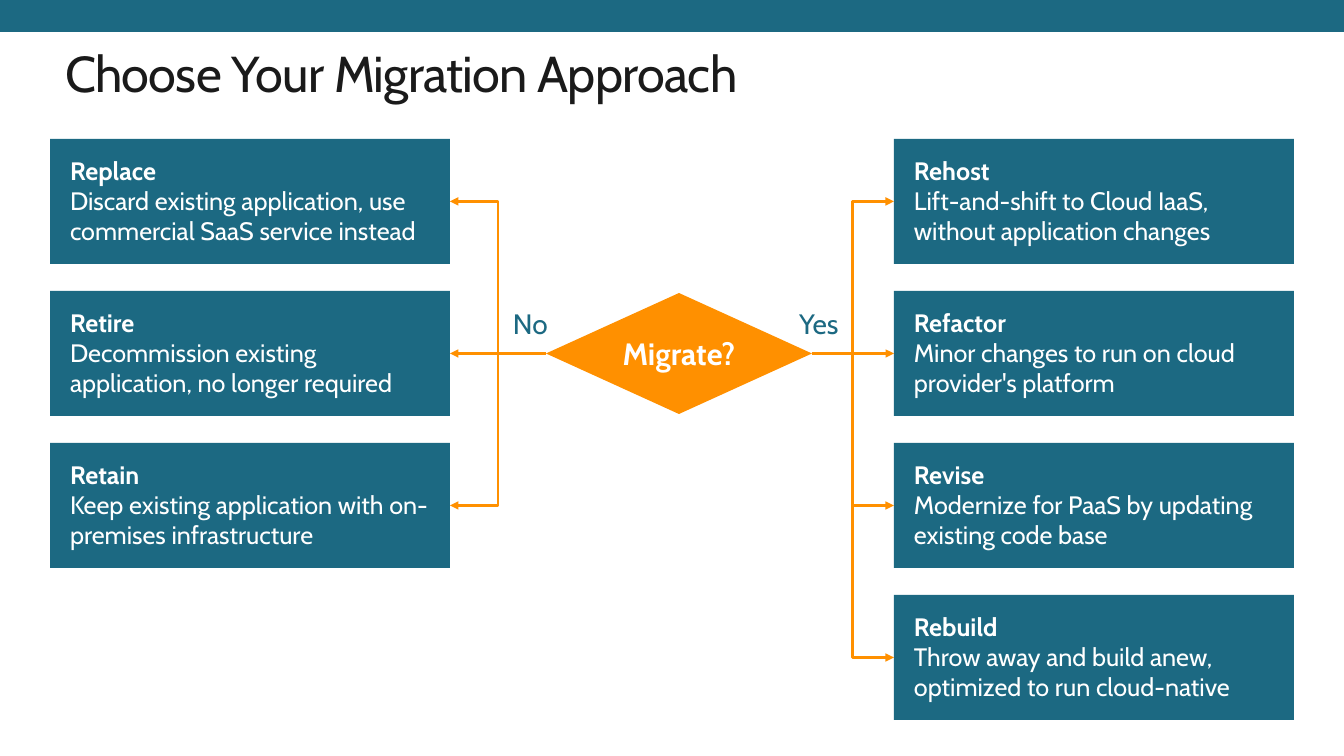
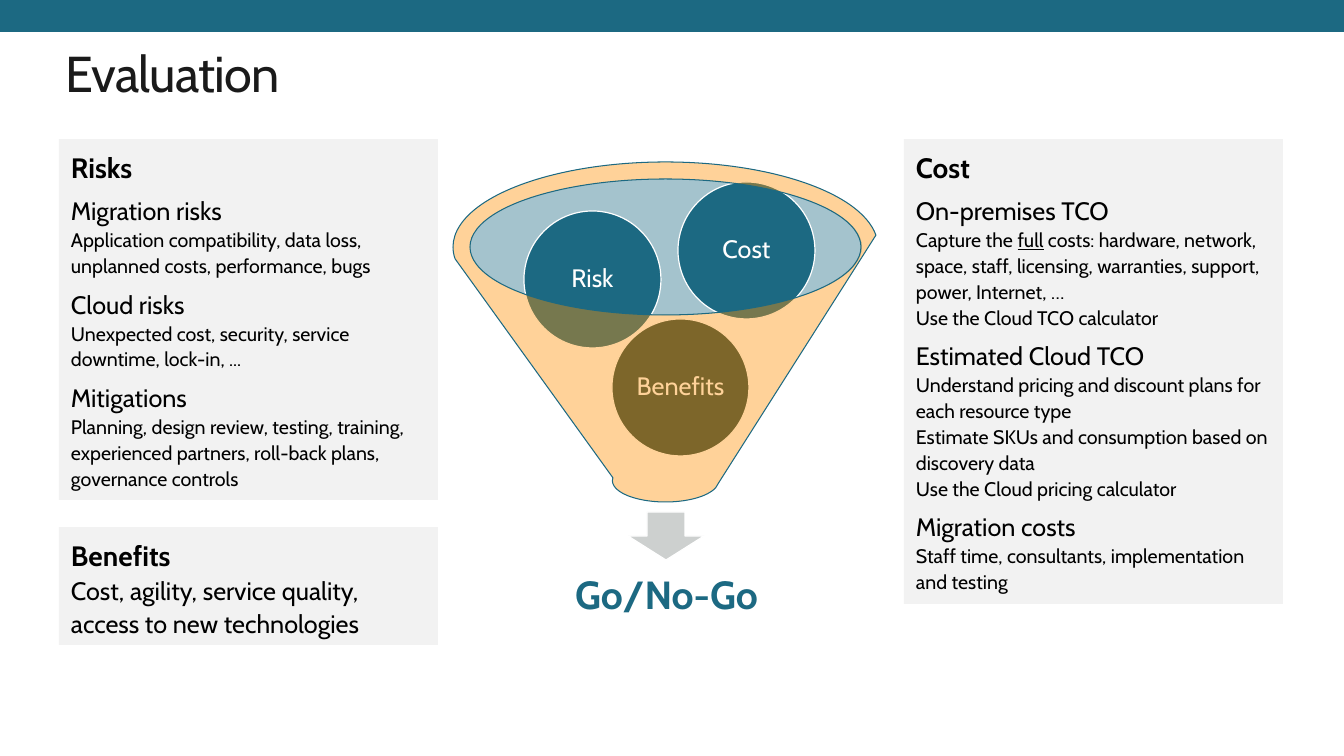
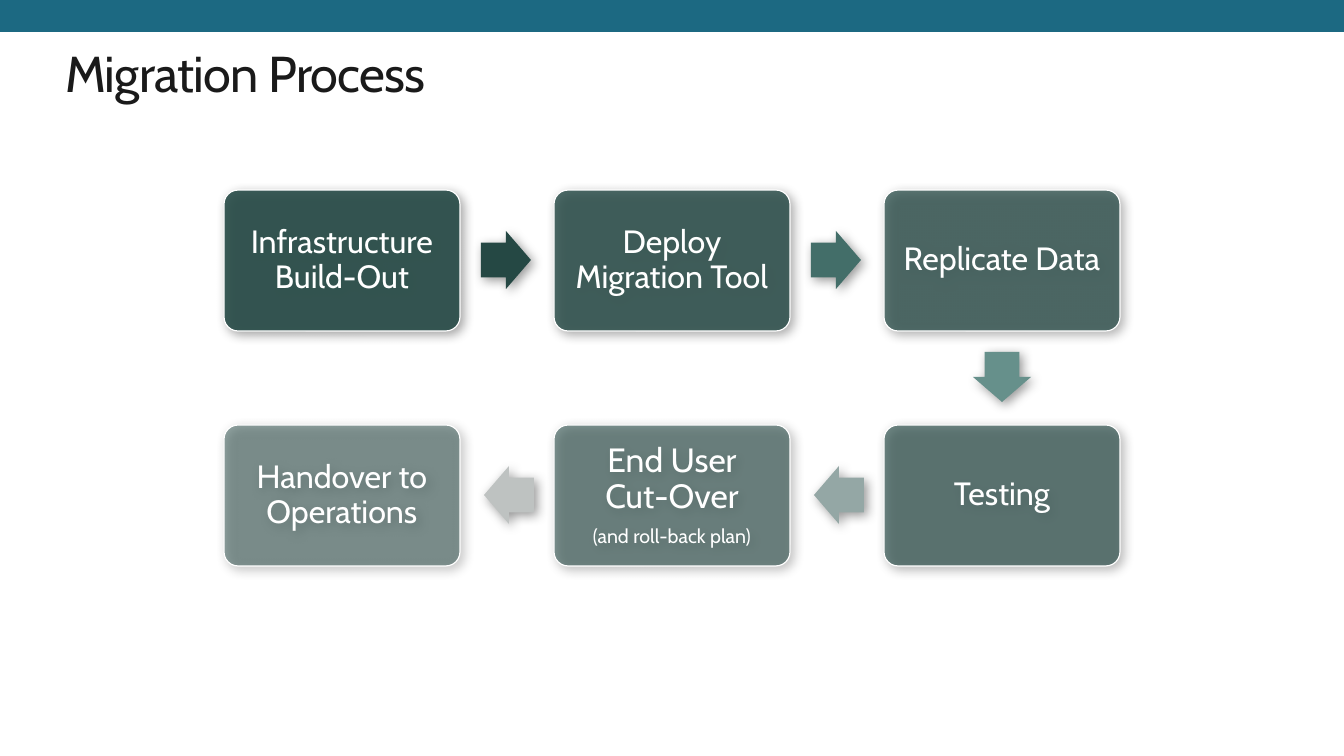
from lxml import etree
from pptx import Presentation
from pptx import util as u
from pptx.dml.color import RGBColor
from pptx.enum import shapes, text
from pptx.oxml import ns

SCALE = 12192000 / 1344
COLOURS = {
    "teal": "1C6982", "orange": "FF9000", "ink": "1A1A1A", "black": "000000",
    "white": "FFFFFF", "card": "F2F2F2", "silver": "CDD0CF", "pine": "274B47",
}
PRESET = shapes.MSO_SHAPE
TOP, MIDDLE = text.MSO_ANCHOR.TOP, text.MSO_ANCHOR.MIDDLE
LEFT, CENTER = text.PP_ALIGN.LEFT, text.PP_ALIGN.CENTER
GROW = text.MSO_AUTO_SIZE.SHAPE_TO_FIT_TEXT
CARD_STYLES = {
    "head": ({}, {"size": u.Pt(20), "bold": True}),
    "topic": ({"space_before": u.Pt(6)}, {"size": u.Pt(18)}),
    "lead": ({}, {"size": u.Pt(18)}),
    "detail": ({}, {"size": u.Pt(14)}),
}


def px(length):
    """Turn pixels into EMU."""
    return u.Emu(round(length * SCALE))


def rgb(name):
    """Look up a named colour, or read a hex string."""
    return RGBColor.from_string(COLOURS.get(name, name))


def assign(target, values):
    """Set every attribute given in a dict."""
    for name, value in values.items():
        setattr(target, name, value)


class Deck:
    """Hold the presentation style and the slide being built."""

    def __init__(self):
        """Open an empty wide presentation."""
        self.deck = Presentation()
        assign(self.deck, {"slide_width": px(1344), "slide_height": px(756)})
        self.slide = None

    def start(self, title, width=1056):
        """Add a slide with the top band and its title."""
        self.slide = self.deck.slides.add_slide(self.deck.slide_layouts[5])
        self.shape(PRESET.RECTANGLE, (0, 0, 1344, 32), "teal")
        heading = self.slide.shapes.title
        assign(heading, dict(zip(("left", "top", "width", "height"),
                                 map(px, (65, 42, width, 61)))))
        self.put_text(heading, [({}, [(title, {"size": u.Pt(36)})])], "ink", auto_size=GROW)
        for run in heading.text_frame.paragraphs[0].runs:
            run._r.get_or_add_rPr().set("spc", "-50")

    def shape(self, preset, box, fill, line=None, alpha=None, shadow=False):
        """Add a preset shape; line is a colour and a width in points."""
        item = self.slide.shapes.add_shape(preset, *map(px, box))
        item.shadow.inherit = False
        item.fill.solid()
        item.fill.fore_color.rgb = rgb(fill)
        if line:
            item.line.color.rgb, item.line.width = rgb(line[0]), u.Pt(line[1])
        else:
            item.line.fill.background()
        properties = item._element.spPr
        if alpha:
            colour = properties.find(ns.qn("a:solidFill"))[0]
            etree.SubElement(colour, ns.qn("a:alpha"), val=str(alpha * 1000))
        if shadow:
            effects = properties.find(ns.qn("a:effectLst"))
            outer = etree.SubElement(effects, ns.qn("a:outerShdw"), blurRad="101600",
                                     dist="38100", dir="2700000", algn="tl", rotWithShape="0")
            black = etree.SubElement(outer, ns.qn("a:srgbClr"), val=COLOURS["black"])
            etree.SubElement(black, ns.qn("a:alpha"), val="40000")
        return item

    def put_text(self, item, paragraphs, colour, inset=(0, 0), align=LEFT, spacing=1.0,
                 anchor=TOP, wrap=True, auto_size=text.MSO_AUTO_SIZE.NONE):
        """Fill a shape with paragraphs of (format, [(text, font values)])."""
        frame = item.text_frame
        across, down = map(px, inset)
        assign(frame, {"margin_left": across, "margin_right": across, "margin_top": down,
                       "margin_bottom": down, "vertical_anchor": anchor, "word_wrap": wrap,
                       "auto_size": auto_size})
        for index, (layout, runs) in enumerate(paragraphs):
            paragraph = frame.add_paragraph() if index else frame.paragraphs[0]
            assign(paragraph, {"alignment": align, "line_spacing": spacing, **layout})
            for words, font in runs:
                for number, part in enumerate(words.split("\n")):
                    if number:
                        paragraph.add_line_break()
                    if part:
                        run = paragraph.add_run()
                        run.text = part
                        assign(run.font, {"name": "Cabin", "bold": False, **font})
                        run.font.color.rgb = rgb(colour)

    def label(self, words, box, size, bold=False, **options):
        """Add a text box with one line of teal text."""
        item = self.slide.shapes.add_textbox(*map(px, box))
        self.put_text(item, [({}, [(words, {"size": u.Pt(size), "bold": bold})])], "teal",
                      **options)

    def option(self, name, meaning, left, top):
        """Add a teal box with a bold name above its meaning."""
        item = self.shape(PRESET.RECTANGLE, (left, top, 400, 125), "teal")
        size = {"size": u.Pt(18)}
        self.put_text(item, [({}, [(name + "\n", {**size, "bold": True}), (meaning, size)])],
                      "white", inset=(20, 16))
        return item

    def arrow(self, start, start_side, end, end_side, kind):
        """Join two shapes with an orange arrow."""
        line = self.slide.shapes.add_connector(kind, 0, 0, 0, 0)
        line.begin_connect(start, start_side)
        line.end_connect(end, end_side)
        line.line.color.rgb, line.line.width = rgb("orange"), u.Pt(2)
        etree.SubElement(line.line._get_or_add_ln(), ns.qn("a:tailEnd"), type="triangle")
        etree.SubElement(line._element.spPr, ns.qn("a:effectLst"))

    def card(self, box, rows):
        """Add a grey card; every second run in a row is underlined."""
        paragraphs = []
        for style, *parts in rows:
            layout, font = CARD_STYLES[style]
            paragraphs.append((layout, [(part, {**font, "underline": index % 2 == 1})
                                        for index, part in enumerate(parts)]))
        self.put_text(self.shape(PRESET.RECTANGLE, box, "card"), paragraphs, "black",
                      inset=(12, 8), spacing=1.1, auto_size=GROW)

    def factor(self, name, left, top, fill):
        """Add a labelled circle."""
        item = self.shape(PRESET.OVAL, (left, top, 137, 137), fill, ("white", 0.85))
        self.put_text(item, [({}, [(name, {"size": u.Pt(18)})])], "white", inset=(3, 3),
                      align=CENTER, spacing=0.9, anchor=MIDDLE)

    def step(self, lines, left, top, alpha):
        """Add a rounded process step with lines of (text, size)."""
        item = self.shape(PRESET.ROUNDED_RECTANGLE, (left, top, 236, 141), "pine",
                          ("white", 0.85), alpha, True)
        item.adjustments[0] = 0.1
        paragraphs = [({"space_after": u.Pt(8 if index < len(lines) - 1 else 0)},
                       [(words, {"size": u.Pt(size)})])
                      for index, (words, size) in enumerate(lines)]
        self.put_text(item, paragraphs, "white", inset=(10, 10), align=CENTER, spacing=0.9,
                      anchor=MIDDLE)

    def block_arrow(self, left, top, fill, rotation):
        """Add a block arrow between two steps."""
        item = self.shape(PRESET.RIGHT_ARROW, (left, top, 50, 58), fill, shadow=True)
        item.adjustments[0] = 0.6
        item.rotation = rotation


def approach(deck):
    """Build the decision tree."""
    deck.start("Choose Your Migration Approach")
    migrate = deck.shape(PRESET.FLOWCHART_DECISION, (546, 293, 266, 121), "orange")
    deck.put_text(migrate, [({}, [("Migrate?", {"size": u.Pt(22), "bold": True})])], "white",
                  align=CENTER, anchor=MIDDLE)
    answers = [
        ("Yes", (799, 306, 41, 34), 894, 3, 1, [
            ("Rehost", "Lift-and-shift to Cloud IaaS, without application changes"),
            ("Refactor", "Minor changes to run on cloud provider's platform"),
            ("Revise", "Modernize for PaaS by updating existing code base"),
            ("Rebuild", "Throw away and build anew, optimized to run cloud-native")]),
        ("No", (513, 306, 38, 34), 50, 1, 3, [
            ("Replace", "Discard existing application, use commercial SaaS service instead"),
            ("Retire", "Decommission existing application, no longer required"),
            ("Retain", "Keep existing application with on-premises infrastructure")]),
    ]
    kinds = shapes.MSO_CONNECTOR
    for answer, place, left, start_side, end_side, options in answers:
        deck.label(answer, place, 20, wrap=False, auto_size=GROW)
        for row, (name, meaning) in enumerate(options):
            option = deck.option(name, meaning, left, 139 + 152 * row)
            deck.arrow(migrate, start_side, option, end_side,
                       kinds.STRAIGHT if row == 1 else kinds.ELBOW)


def evaluation(deck):
    """Build the funnel and its cards."""
    deck.start("Evaluation")
    deck.card((904, 139, 379, 465), [
        ("head", "Cost"),
        ("topic", "On-premises TCO"),
        ("detail", "Capture the ", "full", " costs: hardware, network, space, staff, "
         "licensing, warranties, support, power, Internet, …"),
        ("detail", "Use the Cloud TCO calculator"),
        ("topic", "Estimated Cloud TCO"),
        ("detail", "Understand pricing and discount plans for each resource type"),
        ("detail", "Estimate SKUs and consumption based on discovery data"),
        ("detail", "Use the Cloud pricing calculator"),
        ("topic", "Migration costs"),
        ("detail", "Staff time, consultants, implementation and testing")])
    deck.card((59, 527, 379, 118), [
        ("head", "Benefits"),
        ("lead", "Cost, agility, service quality, access to new technologies")])
    deck.card((59, 139, 379, 361), [
        ("head", "Risks"),
        ("topic", "Migration risks"),
        ("detail", "Application compatibility, data loss, unplanned costs, performance, bugs"),
        ("topic", "Cloud risks"),
        ("detail", "Unexpected cost, security, service downtime, lock-in, ..."),
        ("topic", "Mitigations"),
        ("detail", "Planning, design review, testing, training, experienced partners, "
         "roll-back plans, governance controls")])
    deck.shape(PRESET.OVAL, (470, 179, 392, 136), "teal", alpha=40)
    deck.shape(PRESET.DOWN_ARROW, (628, 512, 76, 48), "silver", ("white", 0.85))
    deck.label("Go/No-Go", (484, 551, 365, 91), 28, True, inset=(22, 22), align=CENTER,
               spacing=0.9, anchor=MIDDLE)
    for factor in (("Benefits", 612, 319, "pine"), ("Risk", 524, 211, "teal"),
                   ("Cost", 678, 182, "teal")):
        deck.factor(*factor)
    deck.shape(PRESET.FUNNEL, (453, 162, 425, 340), "orange", ("teal", 0.75), 40)


def process(deck):
    """Build the six steps, right along the top and back below."""
    deck.start("Migration Process", 1230)
    steps = [
        [("Infrastructure Build-Out", 23)], [("Deploy Migration Tool", 23)],
        [("Replicate Data", 23)], [("Testing", 23)],
        [("End User\nCut-Over", 24), ("(and roll-back plan)", 14)],
        [("Handover to Operations", 23)],
    ]
    arrows = [("254844", 0), ("436E69", 0), ("66908B", 90), ("94A7A5", 180), ("BEC2C1", 180)]
    offsets = {0: (257, 41), 90: (93, 158), 180: (-70, 41)}
    for index, lines in enumerate(steps):
        left = 224 + 330 * min(index, 5 - index)
        top = 190 + 235 * (index // 3)
        deck.step(lines, left, top, 90 - 8 * index)
        if index < len(arrows):
            fill, rotation = arrows[index]
            across, down = offsets[rotation]
            deck.block_arrow(left + across, top + down, fill, rotation)


def main():
    """Build and save the presentation."""
    deck = Deck()
    for build in (approach, evaluation, process):
        build(deck)
    deck.deck.save("out.pptx")


if __name__ == "__main__":
    main()
